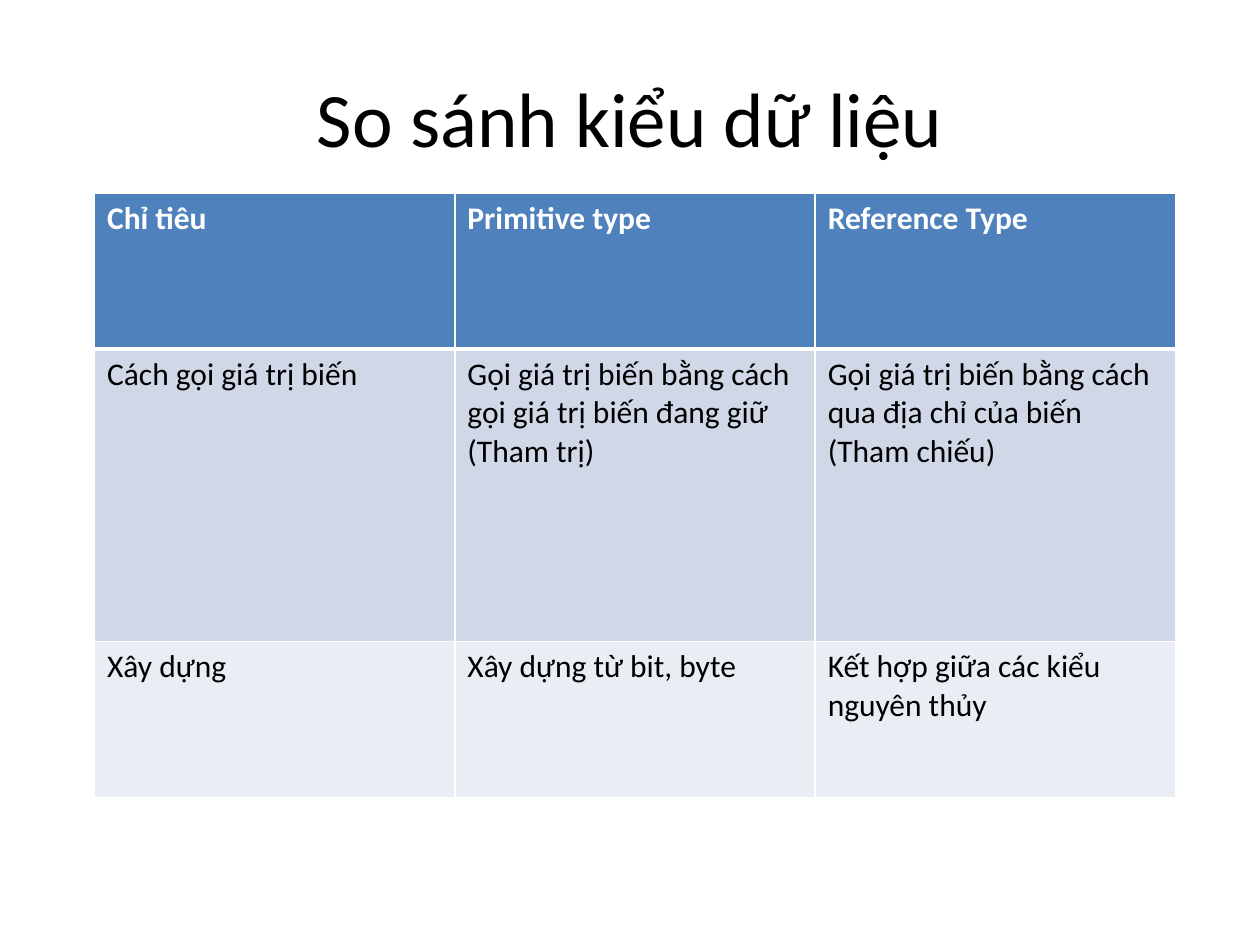
from dataclasses import dataclass

from lxml.etree import SubElement
from pptx import Presentation
from pptx.dml.color import RGBColor as RGB
from pptx.enum.text import MSO_ANCHOR as Anchor, PP_ALIGN as Align
from pptx.oxml.ns import qn
from pptx.util import Inches, Pt


@dataclass(frozen=True)
class Theme:
    font: str = "Calibri"
    title_size: int = 44
    cell_size: int = 18
    text: str = "000000"
    header_text: str = "FFFFFF"
    border: str = "FFFFFF"
    row_fills: tuple = ("4F81BD", "D0D8E8", "E9EDF4")


THEME = Theme()
COL_WIDTH = 2.86
ROW_HEIGHTS = (1.24, 2.32, 1.24)
ROWS = (
    ("Chỉ tiêu", "Primitive type", "Reference Type"),
    (
        "Cách gọi giá trị biến",
        "Gọi giá trị biến bằng cách gọi giá trị biến đang giữ\n(Tham trị)",
        "Gọi giá trị biến bằng cách qua địa chỉ của biến\n(Tham chiếu)",
    ),
    ("Xây dựng", "Xây dựng từ bit, byte", "Kết hợp giữa các kiểu nguyên thủy"),
)


def style_font(font, size, color, bold=False):
    font.name = THEME.font
    font.size = Pt(size)
    font.bold = bold
    font.color.rgb = RGB.from_string(color)


def add_title(slide, text):
    title = slide.shapes.title
    title.left, title.top = Inches(0.5), Inches(0.3)
    title.width, title.height = Inches(9), Inches(1.25)
    tf = title.text_frame
    tf.text = text
    tf.vertical_anchor = Anchor.MIDDLE
    p = tf.paragraphs[0]
    p.alignment = Align.CENTER
    style_font(p.font, THEME.title_size, THEME.text)


def set_borders(cell, top, bottom):
    tc_pr = cell._tc.get_or_add_tcPr()
    for side, width in (("L", 1), ("R", 1), ("T", top), ("B", bottom)):
        ln = SubElement(tc_pr, qn(f"a:ln{side}"), w=str(Pt(width)))
        fill = SubElement(ln, qn("a:solidFill"))
        SubElement(fill, qn("a:srgbClr"), val=THEME.border)


def fill_cell(cell, text, row):
    header = row == 0
    set_borders(cell, top=3 if row == 1 else 1, bottom=3 if header else 1)
    cell.fill.solid()
    cell.fill.fore_color.rgb = RGB.from_string(THEME.row_fills[row])
    cell.text = text
    color = THEME.header_text if header else THEME.text
    for p in cell.text_frame.paragraphs:
        style_font(p.font, THEME.cell_size, color, header)


def add_comparison(slide):
    cols = len(ROWS[0])
    frame = slide.shapes.add_table(
        len(ROWS), cols, Inches(0.75), Inches(1.53),
        Inches(COL_WIDTH * cols), Inches(sum(ROW_HEIGHTS)),
    )
    table = frame.table
    for column in table.columns:
        column.width = Inches(COL_WIDTH)
    for i, (height, texts) in enumerate(zip(ROW_HEIGHTS, ROWS)):
        table.rows[i].height = Inches(height)
        for j, text in enumerate(texts):
            fill_cell(table.cell(i, j), text, i)


def main():
    prs = Presentation()
    prs.slide_width, prs.slide_height = Inches(10), Inches(7.5)
    slide = prs.slides.add_slide(prs.slide_layouts[5])
    add_title(slide, "So sánh kiểu dữ liệu")
    add_comparison(slide)
    prs.save("out.pptx")


if __name__ == "__main__":
    main()
